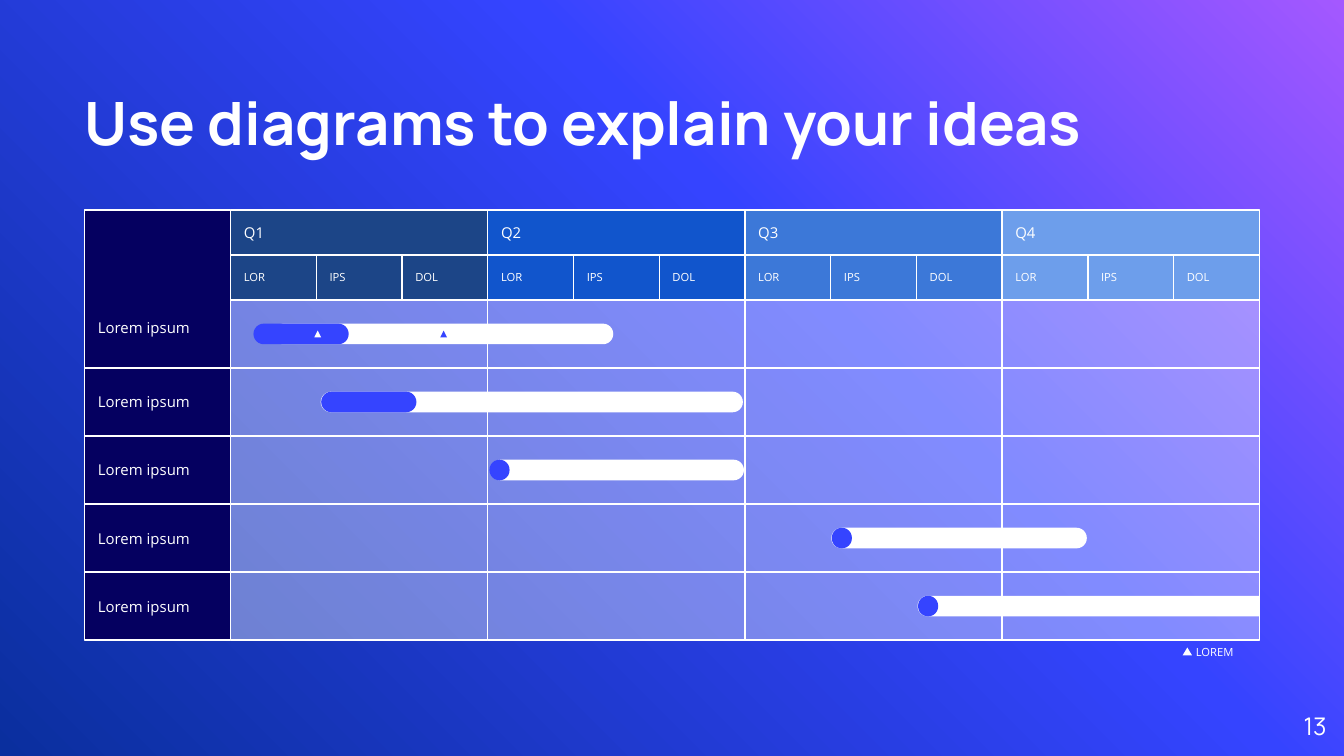
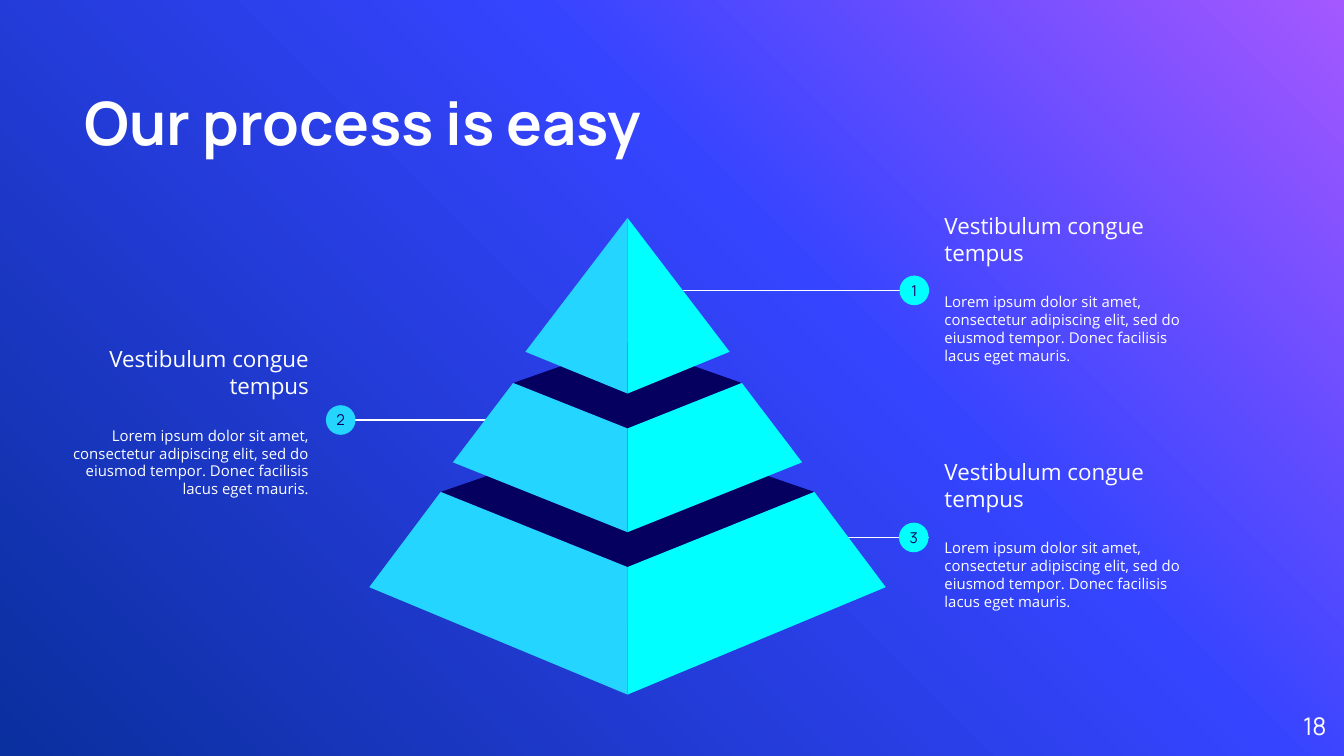
from dataclasses import dataclass

from lxml.etree import SubElement
from pptx import Presentation
from pptx.dml.color import RGBColor
from pptx.enum.shapes import MSO_CONNECTOR, MSO_SHAPE as Preset
from pptx.enum.text import MSO_ANCHOR as Anchor, PP_ALIGN as Align
from pptx.oxml import parse_xml
from pptx.oxml.ns import nsdecls, qn
from pptx.util import Cm, Pt


@dataclass(frozen=True)
class Theme:
    white: str = "FFFFFF"
    navy: str = "050060"
    blue: str = "3544FF"
    sky: str = "24D6FF"
    cyan: str = "00FFFF"
    gradient: tuple = ((0, "A458FF"), (39, "3544FF"), (100, "0A2F9E"))
    quarters: tuple = ("1C4587", "1155CC", "3C78D8", "6D9EEB")
    display: str = "Manrope"
    body: str = "Open Sans"
    title_pt: float = 32
    page_pt: float = 13
    heading_pt: float = 12
    text_pt: float = 8
    small_pt: float = 6
    line_pt: float = 0.75
    cell_alpha: int = 38


T = Theme()


# All coordinates below are in centimetres
@dataclass(frozen=True)
class Box:
    x: float
    y: float
    w: float
    h: float

    def emu(self) -> tuple:
        return Cm(self.x), Cm(self.y), Cm(self.w), Cm(self.h)


@dataclass(frozen=True)
class Task:
    start: float
    length: float
    done_start: float
    done_length: float
    open_ended: bool = False


@dataclass(frozen=True)
class Tier:
    top_half: float
    top_y: float
    top_front_y: float
    base_half: float
    base_y: float
    base_front_y: float
    back_y: float


@dataclass(frozen=True)
class Callout:
    number: str
    text_x: float
    text_y: float
    badge_x: float
    line_y: float
    line_from: float
    line_to: float
    color: str
    align: Align


# Shared drawing functions
def add_run(p, text: str, size: float, font: str = T.body,
            color: str = T.white, bold: bool = False) -> None:
    r = p.add_run()
    r.text = text
    r.font.size, r.font.name, r.font.bold = Pt(size), font, bold
    r.font.color.rgb = RGBColor.from_string(color)


def frame(sp, anchor: Anchor = Anchor.MIDDLE, inset: float = 0.25,
          align: Align = Align.LEFT):
    tf = sp.text_frame
    tf.word_wrap = True
    tf.vertical_anchor = anchor
    tf.margin_left = tf.margin_right = Cm(inset)
    tf.margin_top = tf.margin_bottom = Cm(inset)
    tf.paragraphs[0].alignment = align
    return tf


def paint(sp, fill: str, outline: bool = False, alpha: int = 100) -> None:
    sp.shadow.inherit = False
    sp.fill.solid()
    sp.fill.fore_color.rgb = RGBColor.from_string(fill)
    if alpha < 100:
        color = sp.element.spPr.find(".//" + qn("a:srgbClr"))
        SubElement(color, qn("a:alpha"), val=str(alpha * 1000))
    if outline:
        sp.line.color.rgb = RGBColor.from_string(T.white)
        sp.line.width = Pt(T.line_pt)
    else:
        sp.line.fill.background()


def add_preset(s, kind: Preset, box: Box, fill: str, outline: bool = False,
               alpha: int = 100):
    sp = s.shapes.add_shape(kind, *box.emu())
    paint(sp, fill, outline, alpha)
    return sp


def add_cell(s, box: Box, fill: str, text: str, size: float):
    tf = frame(add_preset(s, Preset.RECTANGLE, box, fill, outline=True))
    add_run(tf.paragraphs[0], text, size)
    return tf


def add_line(s, x1: float, x2: float, y: float) -> None:
    cn = s.shapes.add_connector(MSO_CONNECTOR.STRAIGHT, Cm(x1), Cm(y), Cm(x2), Cm(y))
    cn.line.color.rgb = RGBColor.from_string(T.white)
    cn.line.width = Pt(T.line_pt)
    SubElement(cn.element.spPr, qn("a:effectLst"))


def add_polygon(s, points: list, fill: str) -> None:
    start, *rest = [(Cm(x), Cm(y)) for x, y in points]
    fb = s.shapes.build_freeform(*start)
    fb.add_line_segments(rest, close=True)
    paint(fb.convert_to_shape(), fill)


def new_slide(prs, title: str, title_w: float, page: str):
    s = prs.slides.add_slide(prs.slide_layouts[6])
    stops = "".join(f'<a:gs pos="{pos * 1000}"><a:srgbClr val="{c}"/></a:gs>'
                    for pos, c in T.gradient)
    s.element.cSld.insert(0, parse_xml(
        f'<p:bg {nsdecls("p", "a")}><p:bgPr><a:gradFill rotWithShape="1">'
        f'<a:gsLst>{stops}</a:gsLst><a:lin ang="{135 * 60000}" scaled="0"/>'
        '</a:gradFill><a:effectLst/></p:bgPr></p:bg>'))
    tb = s.shapes.add_textbox(*Box(1.6, 0.58, title_w, 2.39).emu())
    tf = frame(tb, Anchor.BOTTOM, 0)
    add_run(tf.paragraphs[0], title, T.title_pt, T.display, bold=True)
    tb = s.shapes.add_textbox(*Box(23.55, 13.18, 1.52, 1.09).emu())
    tf = frame(tb, inset=0, align=Align.RIGHT)
    add_run(tf.paragraphs[0], page, T.page_pt, T.display)
    return s


# Gantt chart
LEFT, LABEL_W, QUARTER_W = 1.6, 2.76, 4.86
TOP, HEAD_H, BOTTOM = 3.97, 0.85, 12.1
GRID_X, GRID_Y = LEFT + LABEL_W, TOP + 2 * HEAD_H
BAR_H = 0.39
MONTHS = ("LOR", "IPS", "DOL")
TASKS = (
    Task(5.16, 6.43, 4.79, 1.8),
    Task(6.06, 7.98, 6.07, 1.8),
    Task(9.26, 4.8, 9.25, 0.38),
    Task(15.71, 4.83, 15.72, 0.38),
    Task(17.34, 6.45, 17.35, 0.38, open_ended=True),
)
ROW_H = (BOTTOM - GRID_Y) / len(TASKS)


def add_bar(s, x: float, length: float, y: float, fill: str,
            open_ended: bool = False) -> None:
    # Upright shape turned a quarter, so its top is the right end of the bar
    box = Box(x + (length - BAR_H) / 2, y - length / 2, BAR_H, length)
    sp = add_preset(s, Preset.ROUND_2_SAME_RECTANGLE, box, fill)
    sp.rotation = 90
    sp.adjustments[0] = 0 if open_ended else 0.5
    sp.adjustments[1] = 0.5


def gantt_slide(prs) -> None:
    s = new_slide(prs, "Use diagrams to explain your ideas", 22.2, "13")

    # Quarters, months and grid cells
    for q, color in enumerate(T.quarters):
        x = GRID_X + q * QUARTER_W
        for row in range(len(TASKS)):
            box = Box(x, GRID_Y + row * ROW_H, QUARTER_W, ROW_H)
            add_preset(s, Preset.RECTANGLE, box, T.white, True, T.cell_alpha)
        add_cell(s, Box(x, TOP, QUARTER_W, HEAD_H), color, f"Q{q + 1}", T.text_pt)
        month_w = QUARTER_W / len(MONTHS)
        for m, month in enumerate(MONTHS):
            box = Box(x + m * month_w, TOP + HEAD_H, month_w, HEAD_H)
            add_cell(s, box, color, month, T.small_pt)

    # Row labels and bars; the first label also covers the header rows
    for row, task in enumerate(TASKS):
        y = GRID_Y + row * ROW_H
        top = y if row else TOP
        tf = add_cell(s, Box(LEFT, top, LABEL_W, y + ROW_H - top),
                      T.navy, "Lorem ipsum", T.text_pt)
        if row == 0:
            tf.vertical_anchor = Anchor.BOTTOM
            tf.margin_bottom = Cm(0.59)
        middle = y + ROW_H / 2
        add_bar(s, task.start, task.length, middle, T.white, task.open_ended)
        add_bar(s, task.done_start, task.done_length, middle, T.blue)

    # Milestones and their legend
    for box, color in ((Box(5.94, 6.25, 0.13, 0.13), T.white),
                       (Box(8.32, 6.25, 0.13, 0.13), T.blue),
                       (Box(22.35, 12.24, 0.18, 0.15), T.white)):
        add_preset(s, Preset.ISOSCELES_TRIANGLE, box, color)
    tf = frame(s.shapes.add_textbox(*Box(22.35, 12.19, 1.42, 0.28).emu()))
    add_run(tf.paragraphs[0], "LOREM", T.small_pt)


# Pyramid
AXIS_X = 11.86
BADGE = 0.56
TIERS = (
    Tier(3.53, 9.3, 10.72, 4.88, 11.1, 13.13, 8.08),
    Tier(2.16, 7.24, 8.1, 3.3, 8.74, 10.06, 6.48),
    Tier(0, 4.12, 4.12, 1.93, 6.65, 7.44, 4.12),
)
CALLOUTS = (
    Callout("3", 17.6, 8.18, 17.27, 10.16, 15.93, 17.55, T.cyan, Align.LEFT),
    Callout("2", 0.91, 6.05, 6.44, 7.94, 9.25, 6.35, T.sky, Align.RIGHT),
    Callout("1", 17.6, 3.53, 17.28, 5.49, 12.78, 17.55, T.cyan, Align.LEFT),
)
HEADING = "Vestibulum congue tempus"
DETAIL = ("Lorem ipsum dolor sit amet, consectetur adipiscing elit, "
          "sed do eiusmod tempor. Donec facilisis lacus eget mauris.")


def add_callout(s, c: Callout) -> None:
    add_line(s, c.line_from, c.line_to, c.line_y)
    tb = s.shapes.add_textbox(*Box(c.text_x, c.text_y, 5.18, 3.84).emu())
    tf = frame(tb, align=c.align)
    p = tf.paragraphs[0]
    p.space_after = Pt(14.5)
    add_run(p, HEADING, T.heading_pt)
    p = tf.add_paragraph()
    p.alignment = c.align
    add_run(p, DETAIL, T.text_pt)
    box = Box(c.badge_x - BADGE / 2, c.line_y - BADGE / 2, BADGE, BADGE)
    tf = frame(add_preset(s, Preset.OVAL, box, c.color), inset=0, align=Align.CENTER)
    add_run(tf.paragraphs[0], c.number, T.text_pt, T.display, T.navy)


def add_tier(s, t: Tier) -> None:
    if t.top_half:
        add_polygon(s, [(AXIS_X - t.top_half, t.top_y), (AXIS_X, t.top_front_y),
                        (AXIS_X + t.top_half, t.top_y), (AXIS_X, t.back_y)], T.navy)
    for side, color in ((-1, T.sky), (1, T.cyan)):
        add_polygon(s, [(AXIS_X + side * t.top_half, t.top_y),
                        (AXIS_X + side * t.base_half, t.base_y),
                        (AXIS_X, t.base_front_y), (AXIS_X, t.top_front_y)], color)


def pyramid_slide(prs) -> None:
    s = new_slide(prs, "Our process is easy", 16.71, "18")
    for callout in CALLOUTS:
        add_callout(s, callout)
    for tier in TIERS:
        add_tier(s, tier)


def main() -> None:
    prs = Presentation()
    prs.slide_width, prs.slide_height = Cm(25.4), Cm(14.29)
    gantt_slide(prs)
    pyramid_slide(prs)
    prs.save("out.pptx")


if __name__ == "__main__":
    main()
